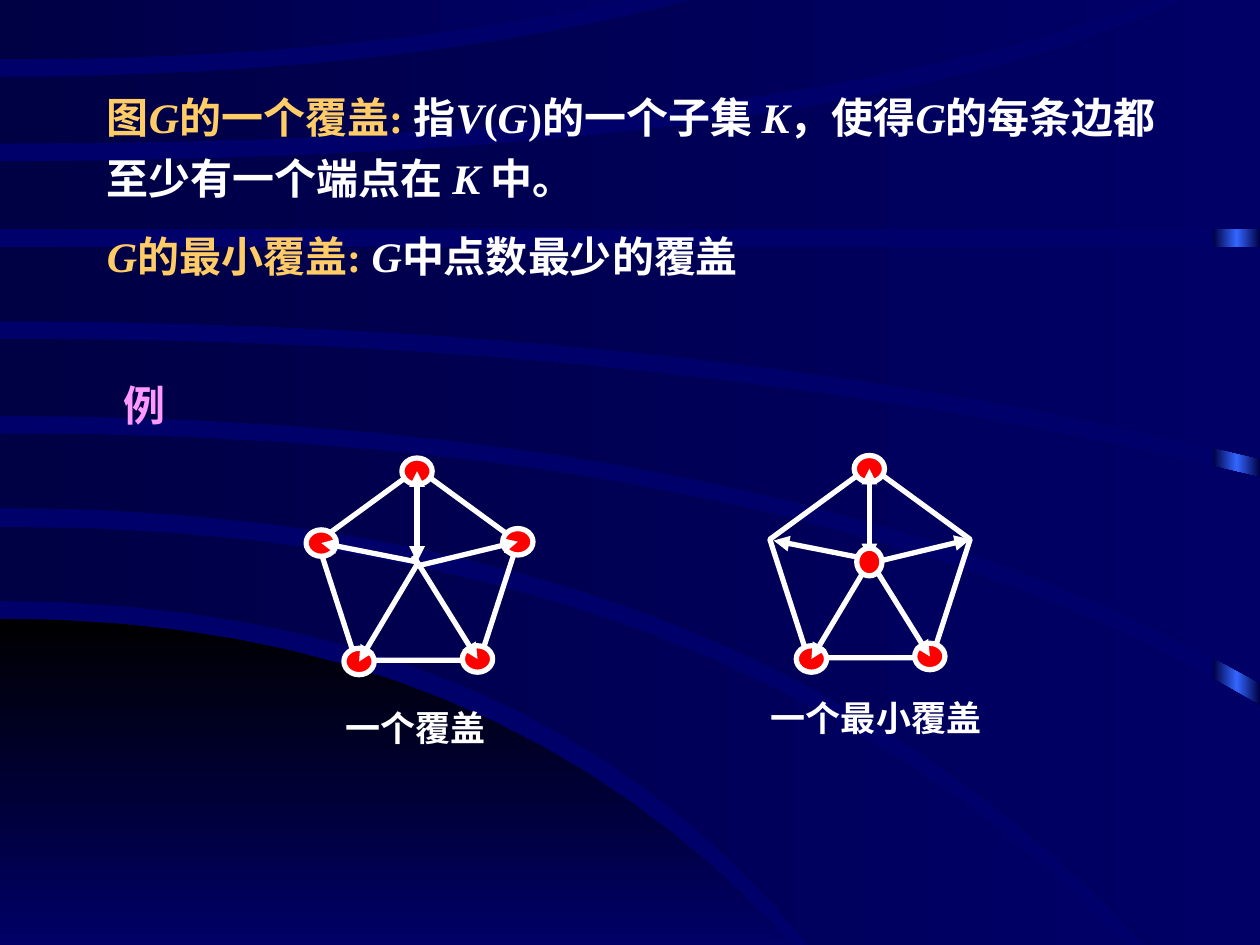
from dataclasses import dataclass
from typing import NamedTuple

from lxml import etree
from pptx import Presentation
from pptx.dml.color import RGBColor
from pptx.enum.shapes import MSO_CONNECTOR, MSO_SHAPE
from pptx.enum.text import PP_ALIGN
from pptx.oxml.ns import qn
from pptx.util import Cm, Pt

RECT, OVAL, PENTAGON = MSO_SHAPE.RECTANGLE, MSO_SHAPE.OVAL, MSO_SHAPE.REGULAR_PENTAGON
STRAIGHT = MSO_CONNECTOR.STRAIGHT
LEFT, JUSTIFY = PP_ALIGN.LEFT, PP_ALIGN.JUSTIFY

Point = tuple[float, float]
WIDTH, HEIGHT = 10, 7.5
STEPS = 16


@dataclass(frozen=True)
class Theme:
    font: str = "Times New Roman"
    body: int = 24
    caption: int = 20
    line: int = 3
    back: str = "00006A"
    dark: str = "000044"
    navy: str = "000066"
    bright: str = "3366FF"
    black: str = "000000"
    white: str = "FFFFFF"
    gold: str = "FFCC66"
    pink: str = "FF99FF"
    red: str = "FF0000"


class Run(NamedTuple):
    text: str
    color: str
    italic: bool = False


class Box(NamedTuple):
    left: float
    top: float
    width: float
    height: float


class Arc(NamedTuple):
    """A curve that leaves the left edge level and bends at bend_x."""
    start_y: float
    bend_x: float
    end_x: float
    end_y: float

    def points(self) -> list[Point]:
        ts = [i / STEPS for i in range(STEPS + 1)]
        return [(2 * t * (1 - t) * self.bend_x + t * t * self.end_x,
                 (1 - t * t) * self.start_y + t * t * self.end_y) for t in ts]


class Band(NamedTuple):
    upper: Arc
    lower: Arc
    corners: tuple[Point, ...] = ()


class Node(NamedTuple):
    """Centre of a rim node and the hub end of its spoke."""
    center: Point
    hub: Point


@dataclass(frozen=True)
class Wheel:
    """A pentagon with spokes; its inner places are relative to left and top."""
    left: float
    top: float
    cover: tuple[str, ...]
    caption: str
    caption_box: Box


T = Theme()


def level(y: float, end_x: float = WIDTH) -> Arc:
    return Arc(y, end_x / 2, end_x, y)


# Background bands, back to front
BANDS = [
    Band(Arc(4.18, 5.74, 8.93, HEIGHT), Arc(4.77, 4.2, 6.42, HEIGHT)),
    Band(Arc(3.44, 6.4, WIDTH, 5.6), Arc(4.03, 5.88, 9.09, HEIGHT), ((WIDTH, HEIGHT),)),
    Band(Arc(2.69, 5.54, WIDTH, 3.79), Arc(3.3, 6.3, WIDTH, 5.42)),
    Band(level(1.96), Arc(2.55, 5.6, WIDTH, 3.64)),
    Band(Arc(1.28, 6.68, 9.4, 0), level(1.82), ((WIDTH, 0),)),
    Band(Arc(0.61, 3.18, 5.5, 0), Arc(1.14, 6.08, 9.15, 0)),
    Band(level(0, 4.95), Arc(0.47, 2.8, 4.95, 0)),
]
CORNER = Band(Arc(4.91, 3.93, 6.28, HEIGHT), level(HEIGHT, 6.28))

# Wheel geometry
NODES = {
    "left": Node((0.03, 0.59), (0.79, 0.74)),
    "right": Node((1.59, 0.58), (0.8, 0.77)),
    "top": Node((0.79, 0.02), (0.79, 0.74)),
    "lower right": Node((1.27, 1.51), (0.76, 0.69)),
    "lower left": Node((0.33, 1.53), (0.79, 0.76)),
}
HUB = (0.79, 0.76)
WHEELS = [
    Wheel(2.52, 3.72, tuple(NODES), "一个覆盖", Box(0.12, 1.84, 1.97, 0.56)),
    Wheel(6.11, 3.7, ("top", "lower right", "lower left", "hub"),
          "一个最小覆盖", Box(-0.09, 1.78, 2.2, 0.56)),
]


def inches(*values: float) -> list[Cm]:
    return [Cm(v * 2.54) for v in values]


def set_gradient(sp, colors: list[str], angle: int = 0) -> None:
    sp.shadow.inherit = False
    sp.line.fill.background()
    sp.fill.gradient()
    sp.fill.gradient_angle = angle
    stops = sp._element.spPr.find(qn("a:gradFill")).find(qn("a:gsLst"))
    for stop in list(stops):
        stops.remove(stop)
    for i, color in enumerate(colors):
        stop = etree.SubElement(stops, qn("a:gs"), pos=str(100000 * i // (len(colors) - 1)))
        etree.SubElement(stop, qn("a:srgbClr"), val=color)


def add_band(s, band: Band, colors: list[str], angle: int = 0) -> None:
    outline = [*band.upper.points(), *band.corners, *reversed(band.lower.points())]
    start, *rest = [tuple(inches(*point)) for point in outline]
    builder = s.shapes.build_freeform(*start)
    builder.add_line_segments(rest, close=True)
    set_gradient(builder.convert_to_shape(), colors, angle)


def add_text(s, box: Box, runs: list[Run], size: int, spacing: float = 1.0, align=LEFT) -> None:
    tf = s.shapes.add_textbox(*inches(*box)).text_frame
    tf.word_wrap = True
    p = tf.paragraphs[0]
    p.alignment, p.line_spacing = align, spacing
    for run in runs:
        r = p.add_run()
        r.text = run.text
        style = {"name": T.font, "size": Pt(size), "bold": True, "italic": run.italic}
        for name, value in style.items():
            setattr(r.font, name, value)
        r.font.color.rgb = RGBColor.from_string(run.color)


def set_line(sp) -> None:
    sp.line.color.rgb = RGBColor.from_string(T.white)
    sp.line.width = Pt(T.line)


def add_figure(s, kind, box: Box, fill: str = "") -> None:
    sp = s.shapes.add_shape(kind, *inches(*box))
    sp.shadow.inherit = False
    set_line(sp)
    if fill:
        sp.fill.solid()
        sp.fill.fore_color.rgb = RGBColor.from_string(fill)
    else:
        sp.fill.background()


def add_dot(s, center: Point, width: float = 0.24, height: float = 0.21) -> None:
    x, y = center
    add_figure(s, OVAL, Box(x - width / 2, y - height / 2, width, height), T.red)


def add_spoke(s, rim: Point, hub: Point, both: bool) -> None:
    sp = s.shapes.add_connector(STRAIGHT, *inches(*rim, *hub))
    set_line(sp)
    ln = sp.line._get_or_add_ln()
    for tag in ("a:headEnd", "a:tailEnd") if both else ("a:headEnd",):
        etree.SubElement(ln, qn(tag), type="triangle")
    etree.SubElement(sp._element.spPr, qn("a:effectLst"))


def add_wheel(s, wheel: Wheel) -> None:
    def at(point: Point) -> Point:
        return wheel.left + point[0], wheel.top + point[1]

    add_figure(s, PENTAGON, Box(wheel.left, wheel.top, 1.59, 1.52))
    for name, node in NODES.items():
        if name in wheel.cover:
            add_dot(s, at(node.center))
    for name, node in NODES.items():
        add_spoke(s, at(node.center), at(node.hub), name == "top")
    if "hub" in wheel.cover:  # the hub lies over its spokes
        add_dot(s, at(HUB), 0.2, 0.22)
    box = Box(*at(wheel.caption_box[:2]), *wheel.caption_box[2:])
    add_text(s, box, [Run(wheel.caption, T.white)], T.caption, align=JUSTIFY)


def main() -> None:
    prs = Presentation()
    prs.slide_width, prs.slide_height = inches(WIDTH, HEIGHT)
    s = prs.slides.add_slide(prs.slide_layouts[6])

    # Background
    s.background.fill.solid()
    s.background.fill.fore_color.rgb = RGBColor.from_string(T.back)
    strip = s.shapes.add_shape(RECT, *inches(9.63, 0, 0.37, HEIGHT))
    set_gradient(strip, [T.dark, T.bright, T.dark])
    add_band(s, CORNER, [T.black, T.navy], 270)
    for band in BANDS:
        add_band(s, band, [T.dark, T.navy])

    # Definitions
    add_text(s, Box(0.75, 0.6, 8.58, 1.06), [
        Run("图", T.gold), Run("G", T.gold, True), Run("的一个覆盖: ", T.gold),
        Run("指", T.white), Run("V", T.white, True), Run("(", T.white), Run("G", T.white, True),
        Run(")的一个子集 ", T.white), Run("K", T.white, True), Run("，使得", T.white),
        Run("G", T.white, True), Run("的每条边都至少有一个端点在 ", T.white),
        Run("K ", T.white, True), Run("中。", T.white)], T.body, 1.2)
    add_text(s, Box(0.75, 1.78, 8.61, 0.5), [
        Run("G", T.gold, True), Run("的最小覆盖: ", T.gold),
        Run("G", T.white, True), Run("中点数最少的覆盖", T.white)], T.body)

    # Example
    for wheel in WHEELS:
        add_wheel(s, wheel)
    add_text(s, Box(0.88, 2.96, 0.73, 0.5), [Run("例", T.pink)], T.body)

    prs.save("out.pptx")


if __name__ == "__main__":
    main()
